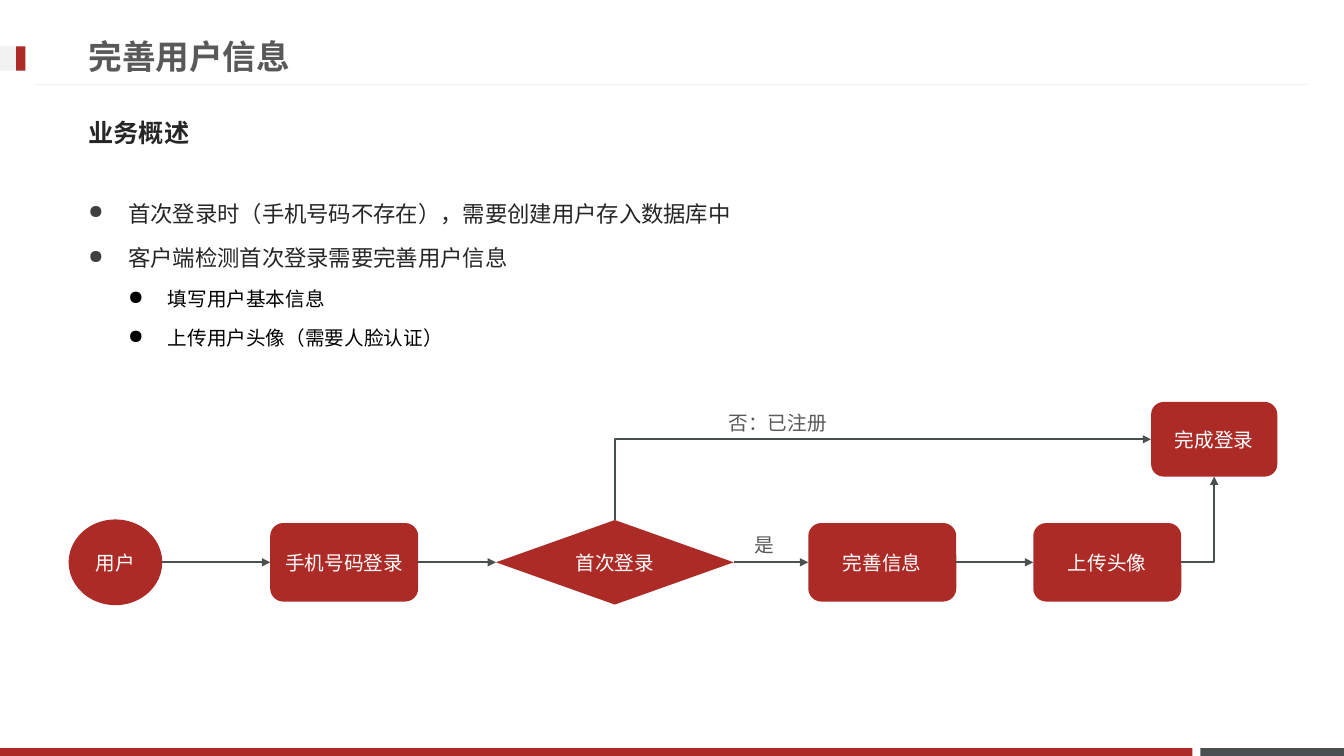
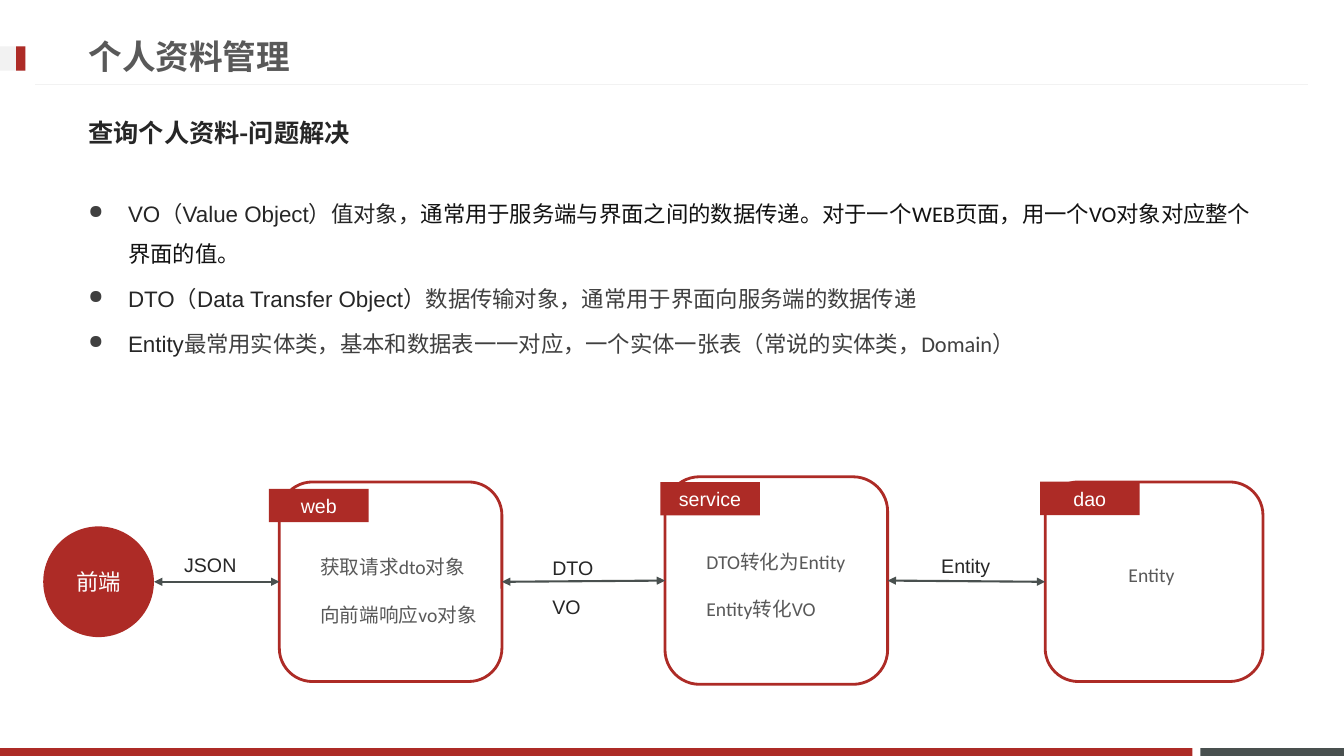
from dataclasses import dataclass

from lxml import etree
from pptx import Presentation, util as u
from pptx.dml.color import RGBColor
from pptx.enum import lang, shapes, text
from pptx.oxml import ns

KIND = shapes.MSO_SHAPE
LINE = shapes.MSO_CONNECTOR
ALIGN = text.PP_ALIGN
ANCHOR = text.MSO_ANCHOR


@dataclass(frozen=True)
class Style:
    size: int
    font: str
    colour: str
    bold: bool = False


class Theme:
    red = "AD2B26"
    slate = "49504F"
    pale = "F2F2F2"
    bullet = "404040"
    title = Style(24, "Arial", "595959", True)
    heading = Style(18, "Noto Sans CJK JP", "262626", True)
    body = Style(16, "Arial", "262626")
    body_ink = Style(16, "Calibri", "121212")
    body_grey = Style(16, "Calibri", "404040")
    sub_bullet = Style(14, "Arial", "000000")
    node = Style(14, "Calibri", "FFFFFF")
    client = Style(16, "Arial", "FFFFFF")
    tag = Style(14, "Arial", "FFFFFF")
    note = Style(14, "Calibri", "595959")
    message = Style(14, "Arial", "262626")


def write(frame, paragraphs, line=None, gap=0, align=ALIGN.LEFT, anchor=ANCHOR.TOP):
    """Fill a frame; line and gap are multiples of the type size."""
    frame.vertical_anchor = anchor
    for index, runs in enumerate(paragraphs):
        para = frame.paragraphs[0] if index == 0 else frame.add_paragraph()
        para.alignment = align
        size = runs[0][1].size
        if line:
            para.line_spacing = u.Pt(size * line)
        if gap and index:
            para.space_before = u.Pt(size * gap)
        for content, style in runs:
            span = para.add_run()
            span.text = content
            span.font.size = u.Pt(style.size)
            span.font.name = style.font
            span.font.bold = style.bold
            span.font.color.rgb = RGBColor.from_string(style.colour)
            span.font.language_id = lang.MSO_LANGUAGE_ID.SIMPLIFIED_CHINESE
            east_asian = etree.SubElement(span.font._element, ns.qn("a:ea"))
            east_asian.set("typeface", style.font)


def style_line(connector, colour, width, heads=()):
    connector.line.color.rgb = RGBColor.from_string(colour)
    connector.line.width = u.Pt(width)
    outline = connector.line._get_or_add_ln()
    for end in heads:
        etree.SubElement(outline, ns.qn(f"a:{end}")).set("type", "triangle")
    etree.SubElement(connector._element.spPr, ns.qn("a:effectLst"))


# Connection sites of a rectangle, and the matching ones of an ellipse
TOP, LEFT, BOTTOM, RIGHT = range(4)
OVAL_SITE = {TOP: 0, LEFT: 2, BOTTOM: 4, RIGHT: 6}
TO_END = ("tailEnd",)
TO_START = ("headEnd",)
BOTH = ("headEnd", "tailEnd")

# Left, top, width, height, colour
bands = [
    (30.25, 18.85, 3.62, 0.2, Theme.slate),
    (0, 18.85, 30.05, 0.2, Theme.red),
    (0, 1.17, 0.64, 0.61, Theme.pale),
    (0.41, 1.17, 0.23, 0.61, Theme.red),
]

flow_y, finish_y, tier_y = 14.17, 11.07, 14.66
step_size = (3.73, 1.98)
tag_size = (2.51, 0.84)

# Bullets: level, runs
# Nodes: key, kind, left, middle, (width, height), text style or None for an outline
# Arrows: connector, start, site, end, site, heads
# Labels: left, top, width, height, wrap, line, gap, paragraphs
pages = [
    dict(
        title="完善用户信息",
        heading="业务概述",
        bullets=[
            (0, [("首次登录时（手机号码不存在），需要创建用户存入数据库中", Theme.body)]),
            (0, [("客户端检测首次登录需要完善用户信息", Theme.body)]),
            (1, [("填写用户基本信息", Theme.sub_bullet)]),
            (1, [("上传用户头像（需要人脸认证）", Theme.sub_bullet)]),
        ],
        nodes=[
            ("用户", KIND.OVAL, 1.73, flow_y, (2.36, 2.16), Theme.node),
            ("手机号码登录", KIND.ROUNDED_RECTANGLE, 6.81, flow_y, step_size, Theme.node),
            ("首次登录", KIND.DIAMOND, 12.5, flow_y, (5.99, 2.13), Theme.node),
            ("完善信息", KIND.ROUNDED_RECTANGLE, 20.37, flow_y, step_size, Theme.node),
            ("上传头像", KIND.ROUNDED_RECTANGLE, 26.04, flow_y, step_size, Theme.node),
            ("完成登录", KIND.ROUNDED_RECTANGLE, 29.01, finish_y, (3.18, 1.88), Theme.node),
        ],
        arrows=[
            (LINE.STRAIGHT, "用户", RIGHT, "手机号码登录", LEFT, TO_END),
            (LINE.STRAIGHT, "手机号码登录", RIGHT, "首次登录", LEFT, TO_END),
            (LINE.STRAIGHT, "首次登录", RIGHT, "完善信息", LEFT, TO_END),
            (LINE.STRAIGHT, "完善信息", RIGHT, "上传头像", LEFT, TO_END),
            (LINE.ELBOW, "上传头像", RIGHT, "完成登录", BOTTOM, TO_END),
            (LINE.ELBOW, "完成登录", LEFT, "首次登录", TOP, TO_START),
        ],
        labels=[
            (18.11, 10.24, 3, 0.86, False, None, 0, [[("否：已注册", Theme.note)]]),
            (18.77, 13.31, 1.02, 0.86, False, None, 0, [[("是", Theme.note)]]),
        ],
    ),
    dict(
        title="个人资料管理",
        heading="查询个人资料-问题解决",
        bullets=[
            (0, [("VO（Value Object）值对象，", Theme.body),
                 ("通常用于服务端与界面之间的数据传递。对于一个WEB页面，"
                  "用一个VO对象对应整个界面的值。", Theme.body_ink)]),
            (0, [("DTO（Data Transfer Object）", Theme.body),
                 ("数据传输对象，通常用于界面向服务端的数据传递", Theme.body_grey)]),
            (0, [("Entity", Theme.body),
                 ("最常用实体类，基本和数据表一一对应，一个实体一张表"
                  "（常说的实体类，Domain）", Theme.body_grey)]),
        ],
        nodes=[
            ("前端", KIND.OVAL, 1.09, tier_y, (2.79, 2.79), Theme.client),
            ("web", KIND.RECTANGLE, 6.78, 12.74, tag_size, Theme.tag),
            ("web frame", KIND.ROUNDED_RECTANGLE, 7.04, tier_y, (5.61, 5.03), None),
            ("service", KIND.RECTANGLE, 16.64, 12.57, tag_size, Theme.tag),
            ("service frame", KIND.ROUNDED_RECTANGLE, 16.76, 14.63, (5.61, 5.23), None),
            ("dao", KIND.RECTANGLE, 26.21, 12.56, tag_size, Theme.tag),
            ("dao frame", KIND.ROUNDED_RECTANGLE, 26.34, tier_y, (5.49, 5.03), None),
        ],
        arrows=[
            (LINE.STRAIGHT, "前端", RIGHT, "web frame", LEFT, BOTH),
            (LINE.STRAIGHT, "web frame", RIGHT, "service frame", LEFT, BOTH),
            (LINE.STRAIGHT, "service frame", RIGHT, "dao frame", LEFT, BOTH),
        ],
        labels=[
            (7.82, 13.87, 4.5, 2.06, True, None, 1.2,
             [[("获取请求dto对象", Theme.note)], [("向前端响应vo对象", Theme.note)]]),
            (17.55, 13.74, 4.11, 2.06, True, None, 1.2,
             [[("DTO转化为Entity", Theme.note)], [("Entity转化VO", Theme.note)]]),
            (28.19, 14.05, 1.7, 0.86, False, None, 0, [[("Entity", Theme.note)]]),
            (4.39, 13.51, 1.85, 1.14, False, 1.8, 0, [[("JSON", Theme.message)]]),
            (13.67, 13.59, 2.13, 2.49, True, 1.8, 0.2,
             [[("DTO", Theme.message)], [("VO", Theme.message)]]),
            (23.47, 13.54, 1.85, 1.14, False, 1.8, 0, [[("Entity", Theme.message)]]),
        ],
    ),
]

deck = Presentation()
deck.slide_width, deck.slide_height = u.Cm(33.87), u.Cm(19.05)

for content in pages:
    page = deck.slides.add_slide(deck.slide_layouts[6])

    for *place, colour in bands:
        band = page.shapes.add_shape(KIND.RECTANGLE, *map(u.Cm, place))
        band.shadow.inherit = False
        band.fill.solid()
        band.fill.fore_color.rgb = RGBColor.from_string(colour)
        band.line.fill.background()
    rule = page.shapes.add_connector(LINE.STRAIGHT, *map(u.Cm, (0.89, 2.13, 32.97, 2.13)))
    style_line(rule, Theme.pale, 0.75)

    for words, style, top, width in (
        (content["title"], Theme.title, 0.69, 24.36),
        (content["heading"], Theme.heading, 2.62, 29.87),
    ):
        box = page.shapes.add_textbox(*map(u.Cm, (1.98, top, width, 1.45)))
        box.text_frame.word_wrap = True
        write(box.text_frame, [[(words, style)]], anchor=ANCHOR.MIDDLE)

    box = page.shapes.add_textbox(*map(u.Cm, (1.98, 4.57, 29.87, 5.64)))
    box.text_frame.word_wrap = True
    write(box.text_frame, [runs for level, runs in content["bullets"]], line=1.8, gap=0.2)
    for para, (level, runs) in zip(box.text_frame.paragraphs, content["bullets"]):
        para.level = level
        props = para._p.get_or_add_pPr()
        props.set("marL", str(u.Cm(1 + level)))
        props.set("indent", str(u.Cm(-1)))
        if level == 0:
            tint = etree.SubElement(props, ns.qn("a:buClr"))
            etree.SubElement(tint, ns.qn("a:srgbClr")).set("val", Theme.bullet)
            etree.SubElement(props, ns.qn("a:buSzPct")).set("val", "85000")
        etree.SubElement(props, ns.qn("a:buChar")).set("char", "●")

    nodes = {}
    for key, kind, left, middle, (width, height), style in content["nodes"]:
        node = page.shapes.add_shape(
            kind, *map(u.Cm, (left, middle - height / 2, width, height)))
        node.shadow.inherit = False
        nodes[key] = node
        if style is None:
            node.fill.background()
            node.line.color.rgb = RGBColor.from_string(Theme.red)
            node.line.width = u.Pt(2)
            continue
        node.fill.solid()
        node.fill.fore_color.rgb = RGBColor.from_string(Theme.red)
        node.line.fill.background()
        node.text_frame.margin_left = node.text_frame.margin_right = 0
        write(node.text_frame, [[(key, style)]], align=ALIGN.CENTER, anchor=ANCHOR.MIDDLE)

    for kind, start, start_site, end, end_site, heads in content["arrows"]:
        arrow = page.shapes.add_connector(kind, 0, 0, 0, 0)
        arrow.begin_connect(nodes[start], start_site)
        arrow.end_connect(nodes[end], end_site)
        if nodes[start].auto_shape_type == KIND.OVAL:
            joint = arrow._element.find(".//" + ns.qn("a:stCxn"))
            joint.set("idx", str(OVAL_SITE[start_site]))
        if kind == LINE.ELBOW:
            arrow._element.spPr.find(ns.qn("a:prstGeom")).set("prst", "bentConnector2")
        style_line(arrow, Theme.slate, 1.5, heads)

    for *place, wrap, line, gap, paragraphs in content["labels"]:
        box = page.shapes.add_textbox(*map(u.Cm, place))
        box.text_frame.word_wrap = wrap
        write(box.text_frame, paragraphs, line, gap)

deck.save("out.pptx")
